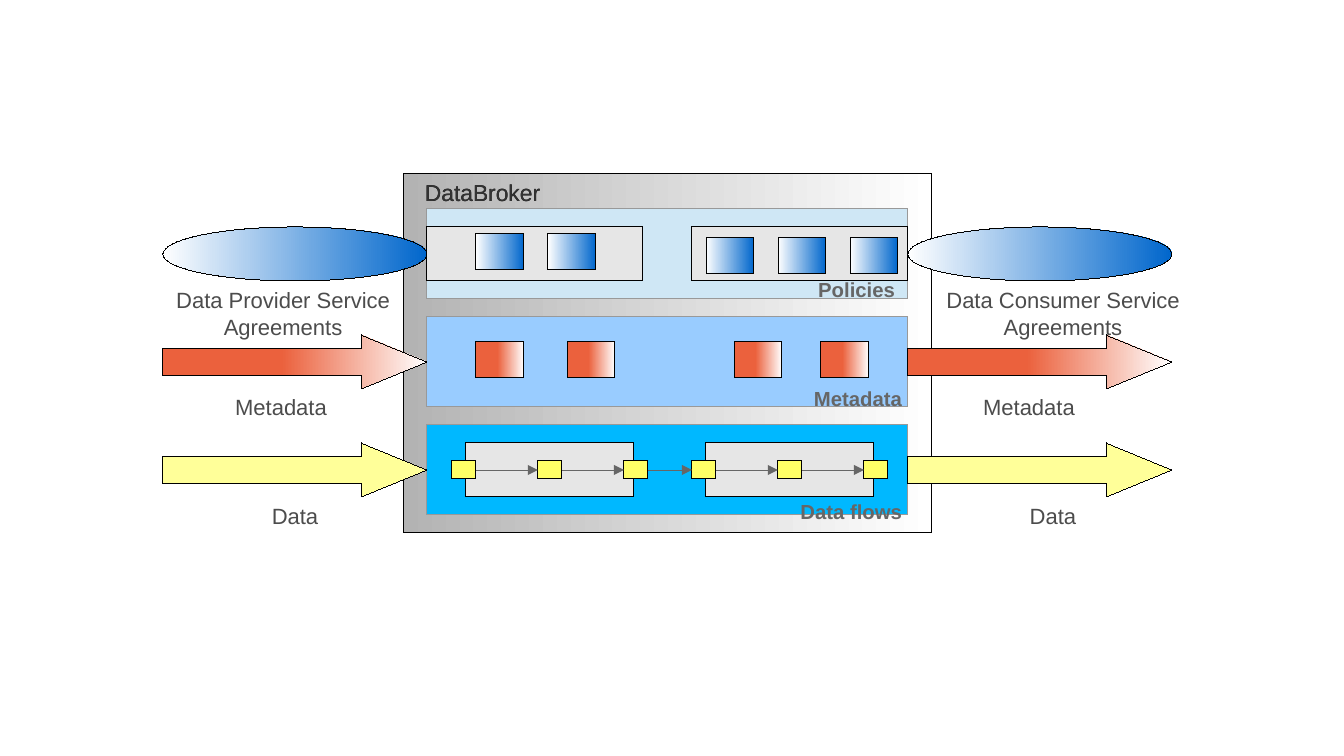
from dataclasses import dataclass
from itertools import pairwise
from typing import NamedTuple, Union

import lxml.etree
import pptx
import pptx.dml.color
import pptx.enum.shapes
import pptx.enum.text
import pptx.oxml.ns
import pptx.util

EMU_PER_PX = 914400 / 122
SHAPE = pptx.enum.shapes.MSO_SHAPE
ALIGN = pptx.enum.text.PP_ALIGN


class Gradient(NamedTuple):
    start: str
    end: str
    start_at: float = 0.0


Paint = Union[str, Gradient]


class Area(NamedTuple):
    left: int
    top: int
    width: int
    height: int


@dataclass(frozen=True)
class Theme:
    font: str = "Arial"
    title_size: float = 13.5
    label_size: float = 12
    caption_size: float = 13
    title_under: str = "000000"
    title: str = "333333"
    label: str = "666666"
    caption: str = "4C4C4C"
    outline: str = "000000"
    band_outline: str = "999999"
    link: str = "666666"
    panel: str = "E6E6E6"
    step: str = "FFFF66"
    data: str = "FFFF99"
    broker: Gradient = Gradient("B3B3B3", "FFFFFF")
    policy: Gradient = Gradient("FFFFFF", "0066CC")
    metadata: Gradient = Gradient("EB613D", "FFFFFF", 0.45)


@dataclass(frozen=True)
class Band:
    """One layer of the broker, with what enters and leaves it."""
    label: str
    label_area: Area
    fill: str
    flow_kind: SHAPE
    flow_fill: Paint


@dataclass(frozen=True)
class Caption:
    text: str
    area: Area


THEME = Theme()
BROKER = Area(404, 173, 528, 360)
BAND = Area(427, 209, 481, 90)
BAND_PITCH = 108
INSET = 18
INNER_HEIGHT = BAND.height - 2 * INSET
FLOW_WIDTH = 264
FLOW_LEFTS = (BAND.left - FLOW_WIDTH, BAND.left + BAND.width)
PANEL_WIDTH = 216
PANEL_LEFTS = (BAND.left, BAND.left + BAND.width - PANEL_WIDTH)
STAGE_LEFTS = (466, 706)
STAGE_WIDTH = 168
STEP_WIDTH, STEP_HEIGHT, STEP_PITCH = 24, 18, 86
TILE_WIDTH, TILE_HEIGHT, TILE_PITCH = 48, 36, 72
METADATA_LEFTS = (476, 567, 734, 821)

BANDS = (
    Band("Policies", Area(777, 271, 130, 40), "CFE7F5", SHAPE.OVAL, THEME.policy),
    Band("Metadata", Area(784, 380, 130, 40), "99CCFF", SHAPE.RIGHT_ARROW, THEME.metadata),
    Band("Data flows", Area(784, 493, 130, 40), "00B8FF", SHAPE.RIGHT_ARROW, THEME.data),
)
CAPTIONS = (
    Caption("Data Provider Service\nAgreements", Area(163, 281, 240, 61)),
    Caption("Data Consumer Service\nAgreements", Area(931, 281, 264, 63)),
    Caption("Metadata", Area(221, 388, 120, 37)),
    Caption("Metadata", Area(969, 388, 120, 37)),
    Caption("Data", Area(235, 497, 120, 37)),
    Caption("Data", Area(993, 497, 120, 37)),
)


def px(length: float) -> int:
    return round(length * EMU_PER_PX)


def rgb(value: str) -> pptx.dml.color.RGBColor:
    return pptx.dml.color.RGBColor.from_string(value)


def set_hairline(line, color: str):
    """Write a zero width outright, since line.width = 0 leaves it to the style."""
    line.color.rgb = rgb(color)
    outline = line._get_or_add_ln()
    outline.set("w", "0")
    return outline


def add_figure(page, kind: SHAPE, area: Area, paint: Paint, outline: str = THEME.outline):
    figure = page.shapes.add_shape(kind, *map(px, area))
    figure.shadow.inherit = False
    if isinstance(paint, Gradient):
        figure.fill.gradient()
        figure.fill.gradient_angle = 0
        first, last = figure.fill.gradient_stops
        first.color.rgb, first.position = rgb(paint.start), paint.start_at
        last.color.rgb, last.position = rgb(paint.end), 1.0
    else:
        figure.fill.solid()
        figure.fill.fore_color.rgb = rgb(paint)
    set_hairline(figure.line, outline)
    return figure


def add_text(page, text: str, area: Area, size: float, color: str,
             align: ALIGN = ALIGN.LEFT, bold: bool = False) -> None:
    box = page.shapes.add_textbox(*map(px, area))
    box.text_frame.word_wrap = True
    box.text_frame.text = text
    for para in box.text_frame.paragraphs:
        para.alignment = align
        for span in para.runs:
            span.font.name = THEME.font
            span.font.size = pptx.util.Pt(size)
            span.font.bold = bold
            span.font.color.rgb = rgb(color)


def add_link(page, source, target) -> None:
    """Join the right side of one step to the left side of the next."""
    link = page.shapes.add_connector(pptx.enum.shapes.MSO_CONNECTOR.STRAIGHT, 0, 0, 0, 0)
    link.begin_connect(source, 3)
    link.end_connect(target, 1)
    outline = set_hairline(link.line, THEME.link)
    lxml.etree.SubElement(outline, pptx.oxml.ns.qn("a:tailEnd"), type="triangle")
    lxml.etree.SubElement(link._element.spPr, pptx.oxml.ns.qn("a:effectLst"))


def add_tiles(page, lefts, top: int, paint: Paint) -> None:
    for left in lefts:
        add_figure(page, SHAPE.RECTANGLE, Area(left, top, TILE_WIDTH, TILE_HEIGHT), paint)


def add_policies(page) -> None:
    for left in PANEL_LEFTS:
        panel = Area(left, BAND.top + INSET, PANEL_WIDTH, INNER_HEIGHT)
        add_figure(page, SHAPE.RECTANGLE, panel, THEME.panel)
    for first, count, top in ((476, 2, 234), (706, 3, 238)):
        add_tiles(page, [first + TILE_PITCH * i for i in range(count)], top, THEME.policy)


def add_data_flows(page) -> None:
    top = BAND.top + 2 * BAND_PITCH + INSET
    step_top = top + (INNER_HEIGHT - STEP_HEIGHT) // 2
    steps = []
    for left in STAGE_LEFTS:
        add_figure(page, SHAPE.RECTANGLE, Area(left, top, STAGE_WIDTH, INNER_HEIGHT), THEME.panel)
        for i in range(3):
            area = Area(left - 14 + STEP_PITCH * i, step_top, STEP_WIDTH, STEP_HEIGHT)
            steps.append(add_figure(page, SHAPE.RECTANGLE, area, THEME.step))
    for source, target in pairwise(steps):
        add_link(page, source, target)


def main() -> None:
    deck = pptx.Presentation()
    deck.slide_width, deck.slide_height = px(1344), px(756)
    page = deck.slides.add_slide(deck.slide_layouts[6])

    add_figure(page, SHAPE.RECTANGLE, BROKER, THEME.broker)
    for color in (THEME.title_under, THEME.title):
        add_text(page, "DataBroker", Area(413, 173, 178, 38), THEME.title_size, color)
    for row, band in enumerate(BANDS):
        top = BAND.top + BAND_PITCH * row
        add_figure(page, SHAPE.RECTANGLE, BAND._replace(top=top), band.fill, THEME.band_outline)
        for left in FLOW_LEFTS:
            area = Area(left, top + INSET, FLOW_WIDTH, INNER_HEIGHT)
            flow = add_figure(page, band.flow_kind, area, band.flow_fill)
            if band.flow_kind == SHAPE.RIGHT_ARROW:
                flow.adjustments[1] = 1.22
    add_policies(page)
    add_tiles(page, METADATA_LEFTS, 342, THEME.metadata)
    add_data_flows(page)
    for band in BANDS:
        add_text(page, band.label, band.label_area, THEME.label_size, THEME.label,
                 ALIGN.RIGHT, bold=True)
    for caption in CAPTIONS:
        add_text(page, caption.text, caption.area, THEME.caption_size, THEME.caption,
                 ALIGN.CENTER)
    deck.save("out.pptx")


if __name__ == "__main__":
    main()
